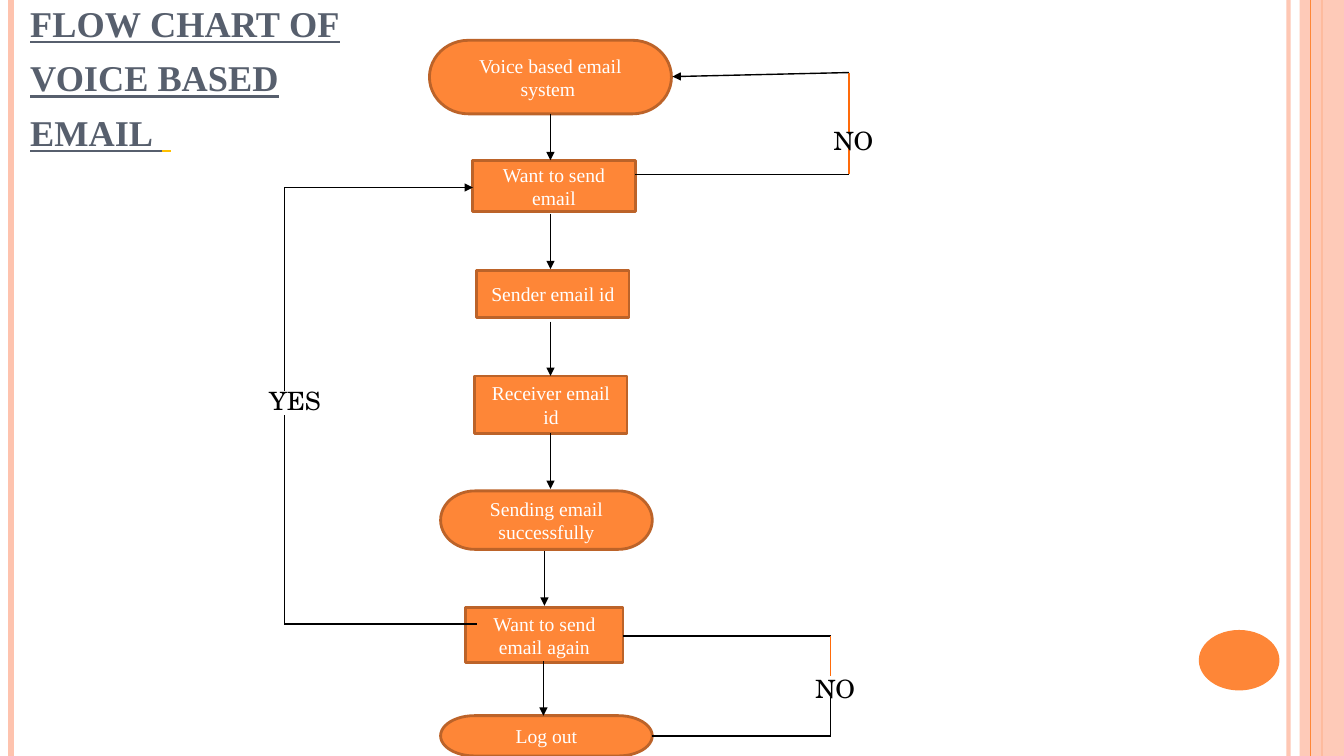
from lxml import etree
from pptx import Presentation
from pptx.dml.color import RGBColor
from pptx.enum.shapes import MSO_CONNECTOR, MSO_SHAPE
from pptx.enum.text import MSO_ANCHOR, MSO_AUTO_SIZE, PP_ALIGN
from pptx.oxml.ns import qn
from pptx.util import Inches, Pt

ORANGE = RGBColor(0xFE, 0x86, 0x37)
BROWN = RGBColor(0xBC, 0x63, 0x29)
PEACH = RGBColor(0xFE, 0xC3, 0xAE)
VIVID = RGBColor(0xFF, 0x6B, 0x0A)
SLATE = RGBColor(0x57, 0x5F, 0x6D)
GOLD = RGBColor(0xFF, 0xC0, 0x00)
BLACK = RGBColor(0, 0, 0)
WHITE = RGBColor(0xFF, 0xFF, 0xFF)

TERMINATOR, PROCESS = MSO_SHAPE.FLOWCHART_TERMINATOR, MSO_SHAPE.RECTANGLE


class FlowSlide:
    """Draws flow chart elements in one style on the current slide."""

    font = "Times New Roman"
    label_font = "TeX Gyre Schola"

    def __init__(self, slide):
        self.slide = slide

    def run(self, p, text, size, color, font):
        r = p.add_run()
        r.text = text
        r.font.size, r.font.name = Pt(size), font
        r.font.color.rgb = color
        return r

    def opacity(self, fmt_xml, percent):
        color = next(fmt_xml.iter(qn("a:srgbClr")))
        etree.SubElement(color, qn("a:alpha"), val=str(percent * 1000))

    def title(self, parts, left, top, width, height):
        sp = self.slide.shapes.title
        sp.left, sp.top = Inches(left), Inches(top)
        sp.width, sp.height = Inches(width), Inches(height)
        tf = sp.text_frame
        tf.word_wrap, tf.auto_size = True, MSO_AUTO_SIZE.NONE
        tf.vertical_anchor = MSO_ANCHOR.BOTTOM
        p = tf.paragraphs[0]
        p.alignment = PP_ALIGN.LEFT
        for text, color, bold in parts:
            r = self.run(p, text, 32.4, color, self.font)
            r.font.bold, r.font.underline = bold, True
            r.font._element.set("cap", "small")

    def shape(self, kind, left, top, width, height, fill=ORANGE, outline=None):
        sp = self.slide.shapes.add_shape(
            kind, Inches(left), Inches(top), Inches(width), Inches(height))
        sp.shadow.inherit = False
        sp.fill.solid()
        sp.fill.fore_color.rgb = fill
        if outline is None:
            sp.line.fill.background()
        else:
            sp.line.color.rgb = outline
            sp.line.width = Pt(2)
        return sp

    def step(self, text, kind, *box):
        tf = self.shape(kind, *box, outline=BROWN).text_frame
        tf.word_wrap = True
        tf.vertical_anchor = MSO_ANCHOR.MIDDLE
        p = tf.paragraphs[0]
        p.alignment = PP_ALIGN.CENTER
        self.run(p, text, 14, WHITE, self.font)

    def label(self, text, left, top, width):
        sp = self.slide.shapes.add_textbox(
            Inches(left), Inches(top), Inches(width), Inches(0.4))
        tf = sp.text_frame
        tf.word_wrap = True
        tf.auto_size = MSO_AUTO_SIZE.SHAPE_TO_FIT_TEXT
        self.run(tf.paragraphs[0], text, 18, BLACK, self.label_font)

    def line(self, x1, y1, x2, y2, color=BLACK, width=1, arrow=False):
        c = self.slide.shapes.add_connector(
            MSO_CONNECTOR.STRAIGHT, Inches(x1), Inches(y1), Inches(x2), Inches(y2))
        c.line.color.rgb = color
        c.line.width = Pt(width)
        if arrow:
            etree.SubElement(c.line._get_or_add_ln(), qn("a:tailEnd"), type="triangle")
        etree.SubElement(c._element.spPr, qn("a:effectLst"))
        return c

    def frame(self):
        edge = self.line(12.78, 0, 12.78, 7.5, PEACH, 3)
        self.opacity(edge._element.spPr, 93)
        self.line(0.11, 0, 0.11, 7.5, PEACH, 4.5)
        self.line(13.11, 0, 13.11, 7.5, ORANGE, 1.5)
        band = self.shape(PROCESS, 12.89, 0, 0.44, 7.5, PEACH)
        self.opacity(band._element.spPr, 87)
        self.line(13, 0, 13, 7.5, ORANGE, 0.75)
        self.shape(MSO_SHAPE.OVAL, 11.89, 6.25, 0.8, 0.6)


def main():
    prs = Presentation()
    prs.slide_width, prs.slide_height = Inches(13.33), Inches(7.5)
    s = FlowSlide(prs.slides.add_slide(prs.slide_layouts[5]))
    s.frame()
    s.title([("flow chart of voice based email ", SLATE, True), (" ", GOLD, False)],
            0.2, 0, 3.29, 1.59)

    for step in [
        ("Voice based email system ", TERMINATOR, 4.26, 0.4, 2.4, 0.73),
        ("Want to send email", PROCESS, 4.69, 1.59, 1.61, 0.51),
        ("Sender email id", PROCESS, 4.73, 2.68, 1.51, 0.47),
        ("Receiver email id", PROCESS, 4.71, 3.73, 1.51, 0.57),
        ("Sending email successfully", TERMINATOR, 4.37, 4.87, 2.1, 0.58),
        ("Want to send email again", PROCESS, 4.62, 6.03, 1.56, 0.54),
        ("Log out", TERMINATOR, 4.37, 7.1, 2.1, 0.4),
    ]:
        s.step(*step)

    for x, start, end in [(5.46, 1.13, 1.59), (5.46, 2.12, 2.67), (5.46, 3.19, 3.73),
                          (5.46, 4.3, 4.85), (5.4, 5.47, 6.01), (5.39, 6.56, 7.1)]:
        s.line(x, start, x, end, arrow=True)

    yes_x, retry_x, exit_x = 2.82, 8.42, 8.24
    s.line(yes_x, 1.86, 4.69, 1.86, arrow=True)
    s.line(yes_x, 1.86, yes_x, 3.88)
    s.line(yes_x, 4.12, yes_x, 6.19)
    s.line(yes_x, 6.19, 4.73, 6.19)

    s.line(retry_x, 0.72, 6.67, 0.76, arrow=True)
    s.line(retry_x, 0.72, retry_x, 1.32, VIVID)
    s.line(retry_x, 1.46, retry_x, 1.73, VIVID)
    s.line(retry_x, 1.73, 6.3, 1.73)

    s.line(6.18, 6.31, exit_x, 6.31)
    s.line(exit_x, 6.31, exit_x, 6.71, VIVID)
    s.line(exit_x, 6.91, exit_x, 7.3)
    s.line(6.47, 7.3, exit_x, 7.3)

    s.label("YES", 2.57, 3.77, 0.85)
    s.label("NO", 8.17, 1.19, 0.78)
    s.label("NO", 7.99, 6.63, 0.77)
    prs.save("out.pptx")


if __name__ == "__main__":
    main()
